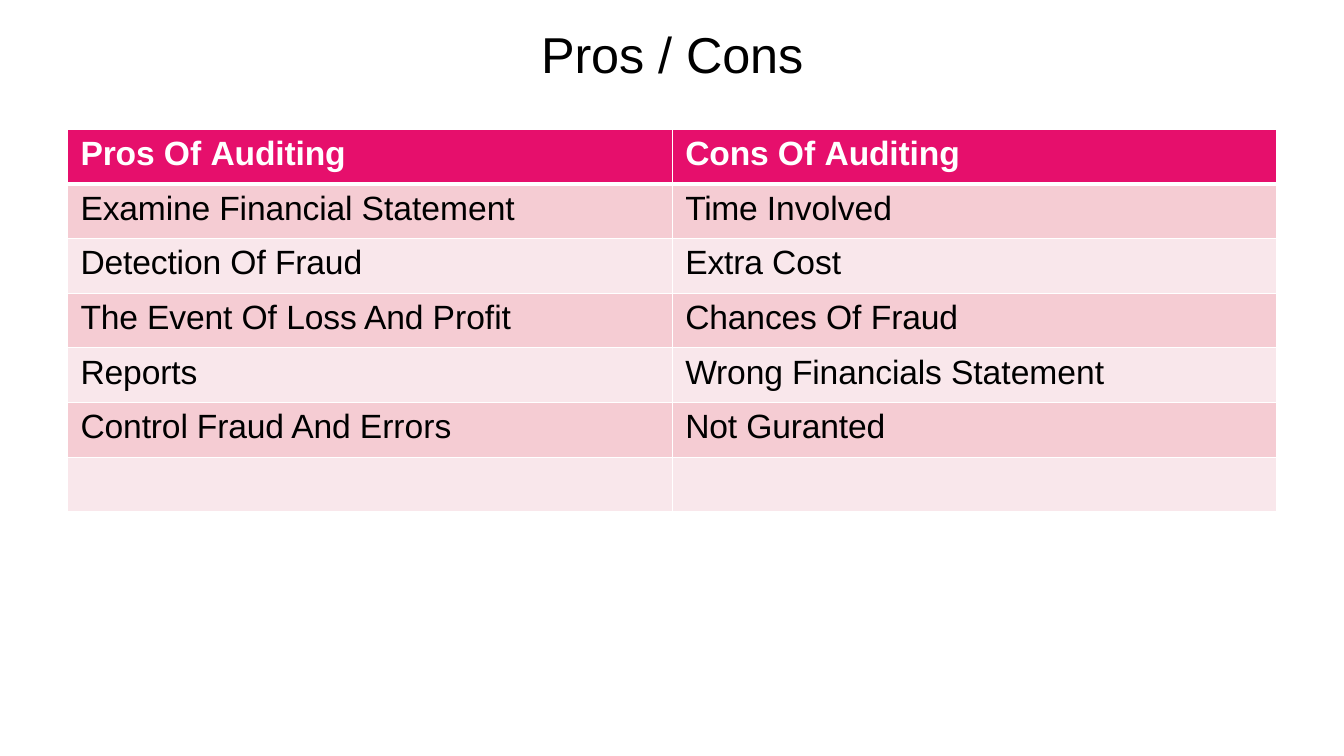
from typing import Any, NamedTuple

from lxml.etree import SubElement
from pptx import Presentation
from pptx.dml.color import RGBColor
from pptx.enum.text import MSO_ANCHOR as Anchor, PP_ALIGN as Align
from pptx.oxml.ns import qn
from pptx.util import Cm, Pt

WHITE, BLACK = "FFFFFF", "000000"
HEADER_FILL = "E60F6C"
BAND_FILLS = ("F5CCD3", "F9E7EB")
TIGHT = -10  # letter spacing in hundredths of a point
LEFT, WIDTH = Cm(1.7), Cm(30.48)
ROW_HEIGHT = Cm(1.38)
TEXT_INDENT = Cm(0.33)


class Run(NamedTuple):
    text: str
    spacing: int = 0


class Row(NamedTuple):
    pros: list[Run]
    cons: list[Run]
    space_before: float = 4.2


TITLE = [Run("Pros ", TIGHT), Run("/ "), Run("Cons", TIGHT)]
ROWS = [
    Row([Run("Pros ", TIGHT), Run("Of "), Run("Auditing", TIGHT)],
        [Run("Cons ", TIGHT), Run("Of "), Run("Auditing", TIGHT)]),
    Row([Run("Examine Financial ", TIGHT), Run("Statement")],
        [Run("Time ", 2 * TIGHT), Run("Involved")]),
    Row([Run("Detection ", TIGHT), Run("Of"), Run(" Fraud", TIGHT)],
        [Run("Extra ", TIGHT), Run("Cost")]),
    Row([Run("The Event ", TIGHT), Run("Of "), Run("Loss And ", TIGHT), Run("Profit")],
        [Run("Chances ", TIGHT), Run("Of "), Run("Fraud", TIGHT)]),
    Row([Run("Reports", TIGHT)],
        [Run("Wrong Financials ", TIGHT), Run("Statement")], 4.3),
    Row([Run("Control Fraud And ", TIGHT), Run("Errors")],
        [Run("Not Guranted", TIGHT)], 4.3),
    Row([], []),
]


def color(value: str) -> RGBColor:
    return RGBColor.from_string(value)


def apply_format(target: Any, values: dict[str, Any]) -> None:
    for name, value in values.items():
        setattr(target, name, value)


def write_runs(paragraph: Any, runs: list[Run], size: float, ink: str, bold: bool = False) -> None:
    for item in runs:
        run = paragraph.add_run()
        run.text = item.text
        apply_format(run.font, {"name": "Arial", "size": Pt(size), "bold": bold})
        run.font.color.rgb = color(ink)
        run._r.get_or_add_rPr().set("spc", str(item.spacing))


def set_borders(cell: Any, widths: dict[str, float]) -> None:
    properties = cell._tc.get_or_add_tcPr()
    for side, width in widths.items():
        line = SubElement(properties, qn(f"a:ln{side}"), w=str(Pt(width)))
        fill = SubElement(line, qn("a:solidFill"))
        SubElement(fill, qn("a:srgbClr"), val=WHITE)


def fill_cell(cell: Any, runs: list[Run], row_index: int, space_before: float) -> None:
    header = row_index == 0
    set_borders(cell, {"L": 1, "R": 1, "T": 3 if row_index == 1 else 1, "B": 3 if header else 1})
    cell.fill.solid()
    cell.fill.fore_color.rgb = color(HEADER_FILL if header else BAND_FILLS[(row_index - 1) % 2])
    apply_format(cell, {"margin_left": 0, "margin_top": Cm(0.15),
                        "margin_right": 0, "margin_bottom": 0})
    paragraph = cell.text_frame.paragraphs[0]
    paragraph.space_before = Pt(space_before)
    paragraph._p.get_or_add_pPr().set("marL", str(TEXT_INDENT))
    write_runs(paragraph, runs, 24, WHITE if header else BLACK, header)


def add_title(slide: Any) -> None:
    frame = slide.shapes.add_textbox(LEFT, Cm(0.53), WIDTH, Cm(1.63)).text_frame
    apply_format(frame, {"word_wrap": True, "vertical_anchor": Anchor.MIDDLE,
                         "margin_top": 0, "margin_bottom": 0})
    frame.paragraphs[0].alignment = Align.CENTER
    write_runs(frame.paragraphs[0], TITLE, 36, BLACK)


def add_comparison(slide: Any) -> None:
    table = slide.shapes.add_table(
        len(ROWS), 2, LEFT, Cm(3.25), WIDTH, ROW_HEIGHT * len(ROWS)).table
    for row_index, row in enumerate(ROWS):
        table.rows[row_index].height = ROW_HEIGHT
        for column_index, runs in enumerate((row.pros, row.cons)):
            fill_cell(table.cell(row_index, column_index), runs, row_index, row.space_before)


def main() -> None:
    presentation = Presentation()
    apply_format(presentation, {"slide_width": Cm(33.87), "slide_height": Cm(19.05)})
    slide = presentation.slides.add_slide(presentation.slide_layouts[6])

    # Heading
    add_title(slide)

    # Pros and cons table
    add_comparison(slide)

    presentation.save("out.pptx")


if __name__ == "__main__":
    main()
